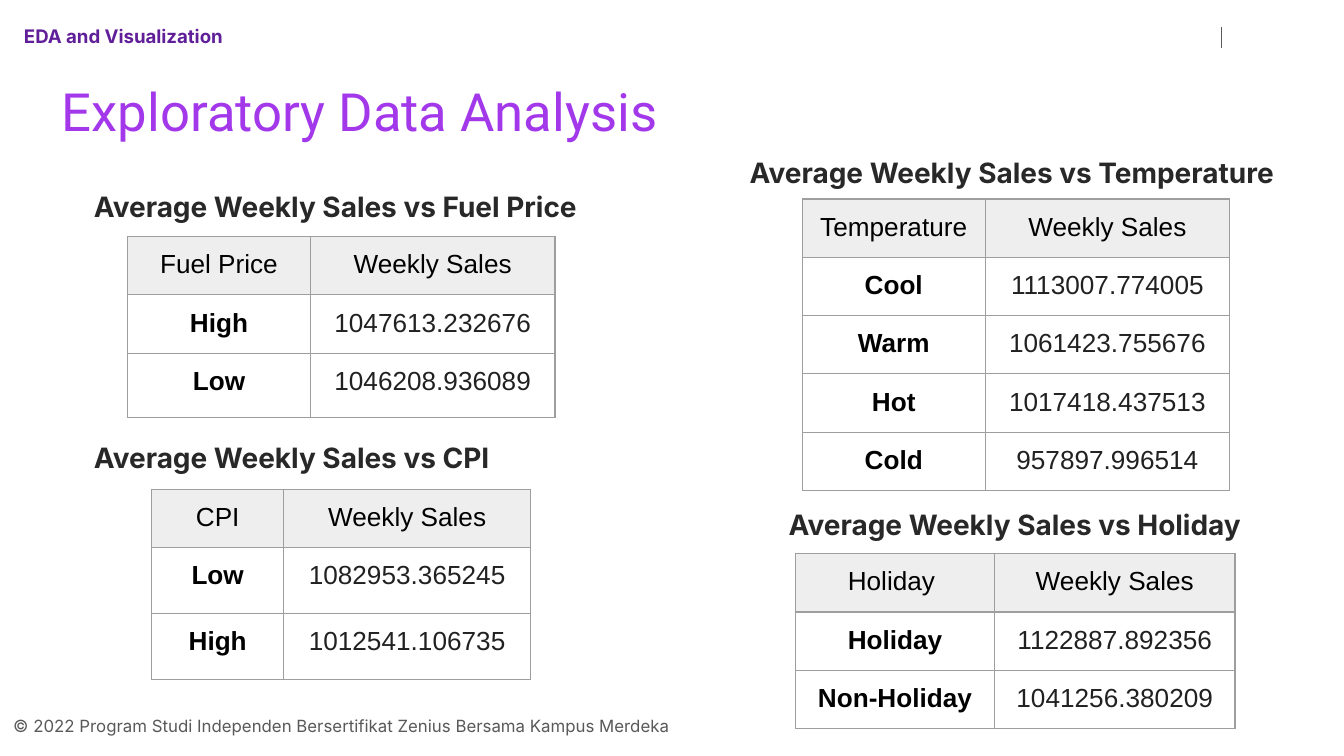
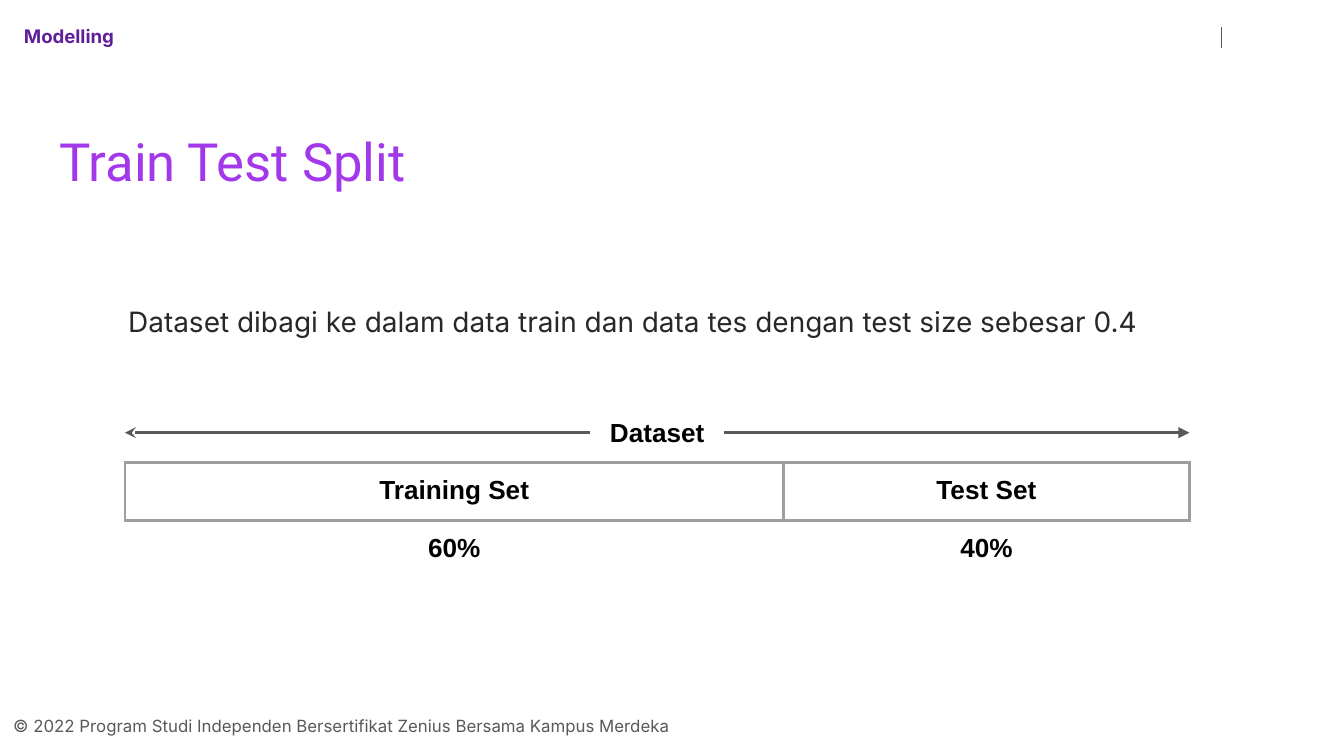
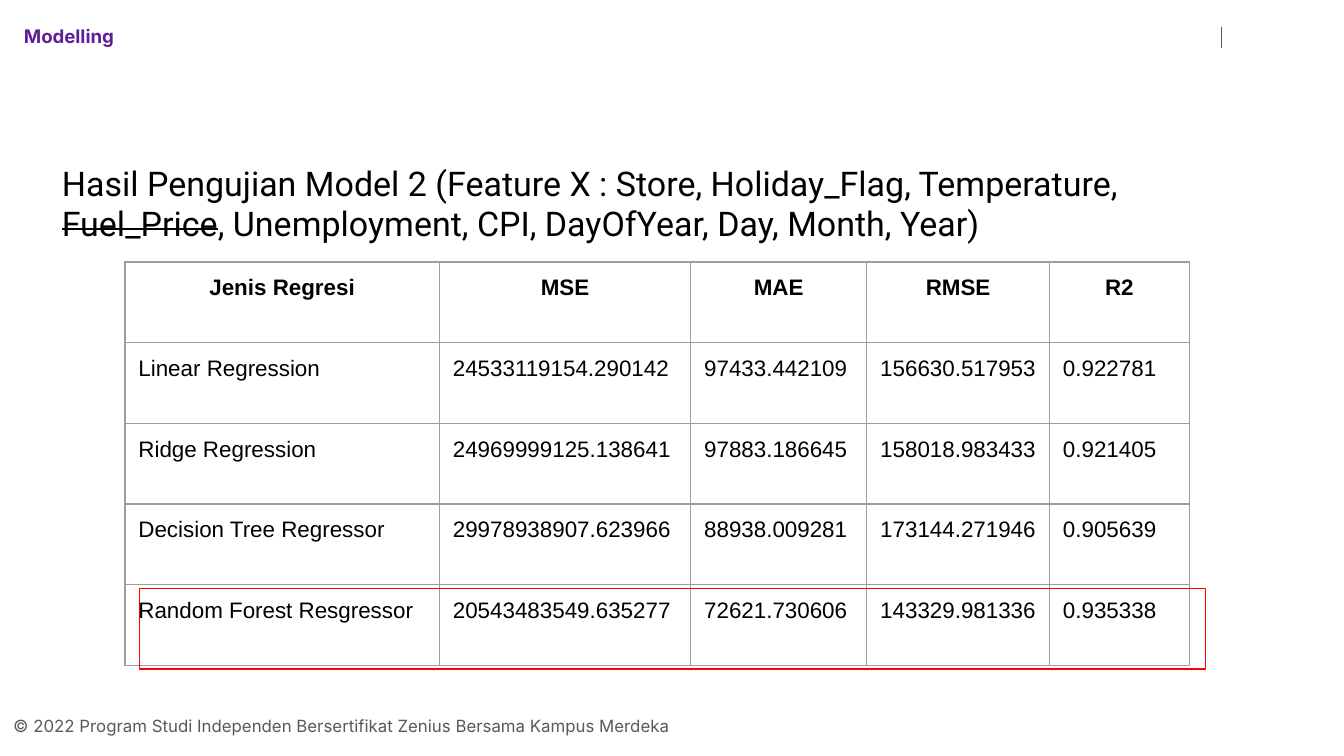
from dataclasses import dataclass

from lxml.etree import SubElement
from pptx import Presentation
from pptx.dml.color import RGBColor
from pptx.enum.shapes import MSO_CONNECTOR, MSO_SHAPE
from pptx.enum.text import MSO_ANCHOR, MSO_AUTO_SIZE, PP_ALIGN
from pptx.oxml.ns import qn
from pptx.util import Inches, Pt


@dataclass(frozen=True)
class Theme:
    """Colours and type sizes of the deck."""

    black: str = "000000"
    ink: str = "282828"
    digit: str = "212121"
    gray: str = "595959"
    rule: str = "9E9E9E"
    band: str = "EEEEEE"
    violet: str = "A338EB"
    plum: str = "601F99"
    red: str = "FF0000"
    title: float = 28.2
    long: float = 18.2
    body: float = 15
    cell: float = 14
    small: float = 12
    tag: float = 10
    foot: float = 9


T = Theme()


def face(name, size, color, bold=False):
    """Return the format values of a font."""
    return {"name": name, "size": Pt(size), "bold": bold, "color": color}


TITLE = face("Roboto", T.title, T.violet)
LONG = face("Roboto", T.long, T.black)
STRIKE = LONG | {"strike": "sngStrike"}
TAG = face("Inter", T.tag, T.plum, True)
FOOT = face("Inter", T.foot, T.gray)
BODY = face("Inter", T.body, T.ink)
HEAD = BODY | {"bold": True}
CELL = face("Arial", T.cell, T.black)
STRONG = CELL | {"bold": True}
DIGIT = CELL | {"color": T.digit}
SMALL = face("Arial", T.small, T.black)
LEFT = {"alignment": PP_ALIGN.LEFT}
MID = {"alignment": PP_ALIGN.CENTER}
LOOSE = {"line_spacing": 1.15}
INSET = {f"margin_{side}": Inches(0.1) for side in ("left", "top", "right", "bottom")}
FRAME = INSET | {"word_wrap": True, "auto_size": MSO_AUTO_SIZE.NONE}
GROW = FRAME | {"auto_size": MSO_AUTO_SIZE.SHAPE_TO_FIT_TEXT}


def apply(item, values):
    """Set each value on the item."""
    for key, val in values.items():
        if key == "color":
            item.color.rgb = RGBColor.from_string(val)
        elif key == "strike":
            item._element.set("strike", val)
        else:
            setattr(item, key, val)


def write(frame, parts, para):
    """Fill a text frame with one paragraph of formatted parts."""
    line = frame.paragraphs[0]
    apply(line, para)
    for text, font in parts:
        run = line.add_run()
        run.text = text
        apply(run.font, font)


def label(slide, box, text, font, para=LEFT, frame=GROW):
    """Add a text box."""
    shape = slide.shapes.add_textbox(*map(Inches, box))
    apply(shape.text_frame, frame)
    write(shape.text_frame, [(text, font)], para)
    return shape


def rule(slide, start, end, width, **tips):
    """Add a straight line with optional arrow tips."""
    line = slide.shapes.add_connector(MSO_CONNECTOR.STRAIGHT, *map(Inches, start + end))
    line.line.color.rgb = RGBColor.from_string(T.gray)
    line.line.width = Pt(width)
    for tip, kind in tips.items():
        SubElement(line.line._get_or_add_ln(), qn(f"a:{tip}"), type=kind)
    SubElement(line._element.spPr, qn("a:effectLst"))
    return line


def edge(cell, width):
    """Draw the four borders of a cell."""
    props = cell._tc.get_or_add_tcPr()
    for side in ("lnL", "lnR", "lnT", "lnB"):
        line = SubElement(props, qn(f"a:{side}"), w=str(Pt(width)))
        if width:
            fill = SubElement(line, qn("a:solidFill"))
            SubElement(fill, qn("a:srgbClr"), val=T.rule)
        else:
            SubElement(line, qn("a:noFill"))


def grid(slide, spot, cols, rows, data, look, width=0.75):
    """Add a table whose cells are styled by look(row, col)."""
    box = (*spot, sum(cols), sum(rows))
    table = slide.shapes.add_table(len(rows), len(cols), *map(Inches, box)).table
    apply(table, {"first_row": False, "horz_banding": False})
    for col, size in zip(table.columns, cols):
        col.width = Inches(size)
    for r, (size, texts) in enumerate(zip(rows, data)):
        table.rows[r].height = Inches(size)
        for c, text in enumerate(texts):
            cell = table.cell(r, c)
            font, para, fill = look(r, c)
            apply(cell, INSET)
            edge(cell, width)
            if fill:
                cell.fill.solid()
                cell.fill.fore_color.rgb = RGBColor.from_string(fill)
            else:
                cell.fill.background()
            write(cell.text_frame, [(text, font)], para)


def sales_look(row, col):
    """Style a cell of a sales table."""
    if row == 0:
        return CELL, MID, T.band
    return (DIGIT if col else STRONG), MID, None


def split_look(row, col):
    """Style a cell of the split bar."""
    return STRONG, MID, None


def score_look(row, col):
    """Style a cell of the score table."""
    if row == 0:
        return SMALL | {"bold": True}, MID, None
    return SMALL, LEFT, None


def page(deck, tag, spot, parts):
    """Add a slide with its tag, title, footer and corner mark."""
    slide = deck.slides.add_slide(deck.slide_layouts[5])
    label(slide, (0, 5.25, 9.78, 0.35),
          "© 2022 Program Studi Independen Bersertifikat Zenius Bersama Kampus Merdeka", FOOT)
    rule(slide, (9.09, 0.2), (9.09, 0.36), 0.75)
    title = slide.shapes.title
    sides = zip(("left", "top", "width", "height"), (*spot, 9.27, 0.9))
    apply(title, {side: Inches(size) for side, size in sides})
    apply(title.text_frame, FRAME | {"vertical_anchor": MSO_ANCHOR.MIDDLE})
    write(title.text_frame, parts, LEFT)
    label(slide, (0.08, 0.1, 6.65, 0.37), tag, TAG)
    return slide


def sales(slide, name, head, spot, cols, rows, data):
    """Add a heading and its table of average sales."""
    label(slide, (*head, 0.46), f"Average Weekly Sales vs {name}".rstrip(), HEAD, LOOSE, FRAME)
    grid(slide, spot, cols, rows, [(name, "Weekly Sales"), *data], sales_look)


def explore(deck):
    """Build the slide of sales averages."""
    slide = page(deck, "EDA and Visualization", (0.36, 0.37),
                 [("Exploratory Data Analysis", TITLE)])
    sales(slide, "Fuel Price", (0.6, 1.27, 3.88), (0.95, 1.76), (1.36, 1.82),
          (0.42, 0.42, 0.48),
          [("High", "1047613.232676"), ("Low", "1046208.936089")])
    sales(slide, "CPI", (0.6, 3.14, 3.18), (1.13, 3.64), (0.98, 1.84),
          (0.42, 0.49, 0.49),
          [("Low", "1082953.365245"), ("High", "1012541.106735")])
    sales(slide, "Temperature", (5.48, 1.02, 4.16), (5.97, 1.48), (1.36, 1.82),
          [0.42] * 5,
          [("Cool", "1113007.774005"), ("Warm", "1061423.755676"),
           ("Hot", "1017418.437513"), ("Cold", "957897.996514")])
    sales(slide, "Holiday ", (5.77, 3.64, 4.16), (5.92, 4.12), (1.48, 1.79),
          [0.42] * 3,
          [("Holiday", "1122887.892356"), ("Non-Holiday", "1041256.380209")])


def split(deck):
    """Build the slide of the train and test split."""
    slide = page(deck, "Modelling", (0.34, 0.74), [("Train Test Split", TITLE)])
    label(slide, (0.46, 2.13, 8.56, 0.52),
          "Dataset dibagi ke dalam data train dan data tes dengan test size sebesar 0.4 ",
          BODY, MID | LOOSE, FRAME)
    left, right, high = 0.93, 8.85, 3.22
    name = label(slide, (4.39, 3, 1, 0.44), "Dataset", STRONG, MID)
    rule(slide, (5.39, high), (right, high), 1.5, tailEnd="triangle").begin_connect(name, 3)
    rule(slide, (left, high), (4.39, high), 1.5, headEnd="stealth").end_connect(name, 1)
    cols, rows = (4.9, 3.02), [0.43]
    grid(slide, (left, 3.44), cols, rows, [("Training Set", "Test Set")], split_look, 1.5)
    grid(slide, (left, 3.87), cols, rows, [("60%", "40%")], split_look, 0)


def score(deck):
    """Build the slide of model scores."""
    slide = page(deck, "Modelling", (0.36, 1.06), [
        ("Hasil Pengujian Model 2 (Feature X : Store, Holiday_Flag, Temperature, ", LONG),
        ("Fuel_Price", STRIKE),
        (", Unemployment, CPI, DayOfYear, Day, Month, Year)", LONG)])
    data = [
        ("Jenis Regresi", "MSE", "MAE", "RMSE", "R2"),
        ("Linear Regression", "24533119154.290142", "97433.442109", "156630.517953", "0.922781"),
        ("Ridge Regression", "24969999125.138641", "97883.186645", "158018.983433", "0.921405"),
        ("Decision Tree Regressor", "29978938907.623966", "88938.009281", "173144.271946",
         "0.905639"),
        ("Random Forest Resgressor", "20543483549.635277", "72621.730606", "143329.981336",
         "0.935338"),
    ]
    grid(slide, (0.93, 1.95), (2.34, 1.87, 1.31, 1.36, 1.04), [0.6] * 5, data, score_look)
    best = slide.shapes.add_shape(MSO_SHAPE.RECTANGLE, *map(Inches, (1.04, 4.38, 7.93, 0.6)))
    best.shadow.inherit = False
    best.fill.background()
    best.line.color.rgb = RGBColor.from_string(T.red)
    best.line.width = Pt(0.75)


def main():
    """Build and save the deck."""
    deck = Presentation()
    wide = Inches(10)
    apply(deck, {"slide_width": wide, "slide_height": wide * 9 // 16})
    for build in (explore, split, score):
        build(deck)
    deck.save("out.pptx")


if __name__ == "__main__":
    main()
